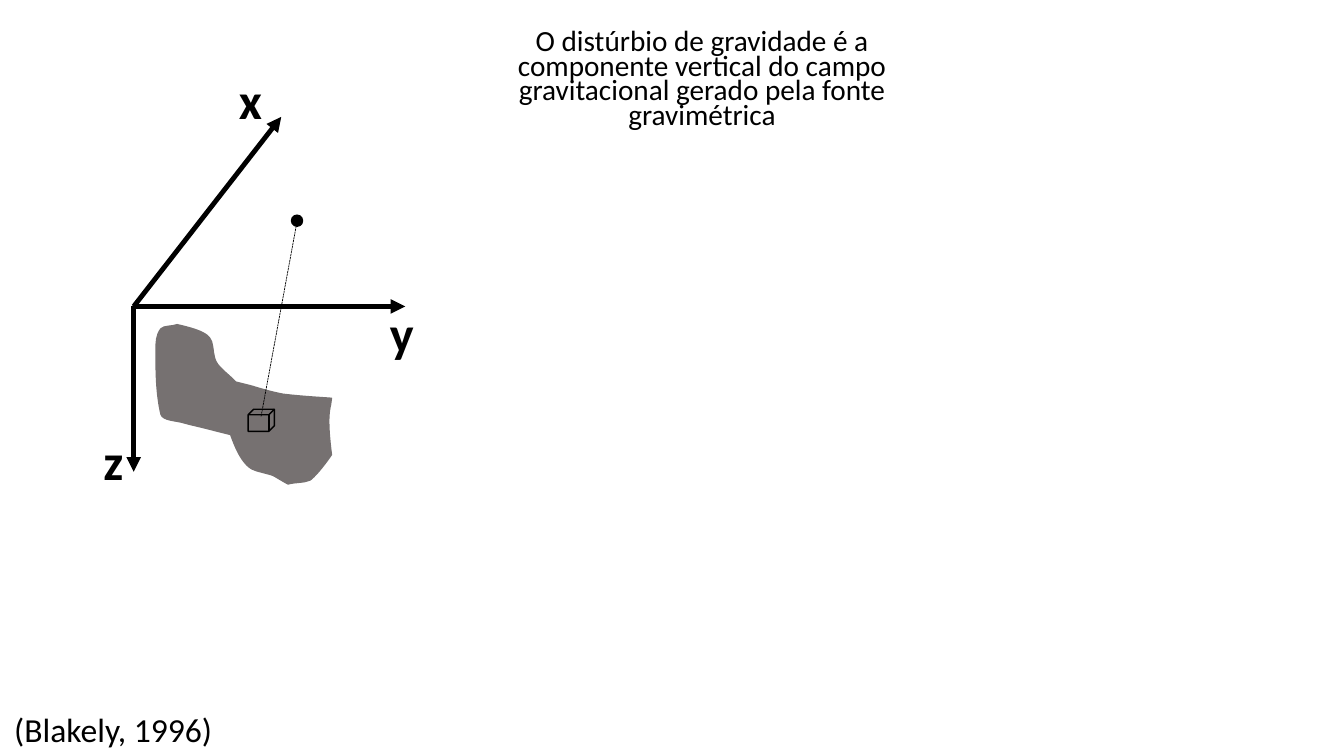
from lxml.etree import SubElement
from pptx import Presentation
from pptx.dml.color import RGBColor
from pptx.enum.dml import MSO_LINE
from pptx.enum.shapes import MSO_CONNECTOR as Connector, MSO_SHAPE as Preset
from pptx.enum.text import MSO_ANCHOR as Anchor, MSO_AUTO_SIZE as AutoSize, PP_ALIGN as Align
from pptx.oxml.ns import qn
from pptx.util import Pt

BLACK, ROCK = "000000", "767171"
FRAME_FORMAT = {"auto_size": AutoSize.NONE, "word_wrap": True, "vertical_anchor": Anchor.BOTTOM}
AXES = [("z", (0, 118.1), (-32.4, 84.2)),
        ("y", (194, 0), (173.5, -7.9)),
        ("x", (105.4, -135.4), (65.5, -174.3))]
SOURCE_START = (125.3, 52.6)
SOURCE_OUTLINE = [
    [(113.8, 51.8), (102.2, 51.1), (90.7, 49.7)],
    [(82.8, 48.2), (75.6, 46.1), (68.4, 43.9)],
    [(56.9, 41)],
    [(51.8, 35.3), (43.2, 30.2), (41.8, 23.8)],
    [(40.3, 18.7), (41, 13), (38.2, 9.4)],
    [(34.6, 4.3), (20.9, 1.4), (15.1, 0)],
    [(11.5, 1.4), (5.8, 0.7), (3.6, 2.9)],
    [(0, 7.2), (0, 13), (0, 18)],
    [(0, 33.1), (0, 49), (3.6, 64.1)],
    [(5, 68.4), (13.7, 68.4), (18.7, 69.8)],
    [(26.6, 72), (33.8, 73.4), (41.8, 75.6)],
    [(53.3, 78.5)],
    [(56.2, 86.4), (61.9, 102.2), (72, 104.4)],
    [(87.8, 108.7), (79.9, 105.8), (94.3, 113.8)],
    [(99.4, 112.3), (105.8, 113), (110.2, 110.9)],
    [(116.6, 105.8), (125.3, 92.9), (125.3, 92.9)],
    [(121, 59.8), (125.3, 59), (125.3, 52.6)],
]


def color(hex_text):
    """Turn a hex string into a colour."""
    return RGBColor.from_string(hex_text)


def apply_format(target, values):
    """Set each named attribute on the target."""
    for name, value in values.items():
        setattr(target, name, value)


def write_text(shape, text, size, spacing, bold=False):
    """Write one centred paragraph that sits at the bottom of its shape."""
    frame = shape.text_frame
    apply_format(frame, FRAME_FORMAT)
    frame.text = text
    paragraph = frame.paragraphs[0]
    apply_format(paragraph, {"alignment": Align.CENTER, "line_spacing": spacing})
    font = paragraph.runs[0].font
    apply_format(font, {"name": "Calibri", "size": Pt(size), "bold": bold})
    font.color.rgb = color(BLACK)


def add_label(slide, box, text, size, spacing, bold=False):
    """Add a text box with one paragraph."""
    shape = slide.shapes.add_textbox(*map(Pt, box))
    write_text(shape, text, size, spacing, bold)


def style_shape(shape, line, fill=None):
    """Give a shape its outline and its fill, or none."""
    shape.shadow.inherit = False
    if fill:
        shape.fill.solid()
        shape.fill.fore_color.rgb = color(fill)
    else:
        shape.fill.background()
    shape.line.color.rgb = color(line)
    shape.line.width = Pt(1)


def add_line(slide, start, end, width, arrow=False, dash=None):
    """Draw a black straight line, with an arrowhead or a dash if asked."""
    connector = slide.shapes.add_connector(Connector.STRAIGHT, *map(Pt, start + end))
    connector.line.color.rgb = color(BLACK)
    apply_format(connector.line, {"width": Pt(width), "dash_style": dash})
    if arrow:
        SubElement(connector.line._get_or_add_ln(), qn("a:tailEnd"), type="triangle")
    SubElement(connector._element.spPr, qn("a:effectLst"))


def bend_segments(shape, segments):
    """Merge each run of three line steps into one cubic curve."""
    steps = iter(list(shape._element.iter(qn("a:lnTo"))))
    for segment in segments:
        first, *others = [next(steps) for _ in segment]
        if others:
            first.tag = qn("a:cubicBezTo")
        for step in others:
            first.append(step[0])
            step.getparent().remove(step)


def add_source_body(slide, left, top):
    """Draw the gravity source as a smooth closed outline."""
    points = [SOURCE_START] + sum(SOURCE_OUTLINE, [])
    vertices = [(Pt(left + x), Pt(top + y)) for x, y in points]
    builder = slide.shapes.build_freeform(*vertices[0])
    builder.add_line_segments(vertices[1:], close=True)
    body = builder.convert_to_shape()
    bend_segments(body, SOURCE_OUTLINE)
    style_shape(body, ROCK, ROCK)


def add_diagram(slide, left, top):
    """Draw the axes, source, volume element and observation point around an origin."""
    def at(x, y):
        """Move a point from the origin to the slide."""
        return left + x, top + y

    add_source_body(slide, *at(16, 13))
    for name, tip, label in AXES:
        add_line(slide, at(0, 0), at(*tip), 3.5, arrow=True)
        add_label(slide, at(*label) + (36, 51.8), name, 36, 0.9, bold=True)
    add_line(slide, at(91, 78.5), at(116.9, -61.9), 0.5, dash=MSO_LINE.SQUARE_DOT)
    for preset, corner, size, fill in [(Preset.OVAL, (112.7, -65.2), (7.9, 7.9), BLACK),
                                       (Preset.CUBE, (81.8, 73.4), (18.7, 15.8), None)]:
        shape = slide.shapes.add_shape(preset, *map(Pt, at(*corner) + size))
        style_shape(shape, BLACK, fill)


def add_title(slide, left, top, width, height):
    """Place and fill the title."""
    title = slide.shapes.title
    apply_format(title, {"left": Pt(left), "top": Pt(top), "width": Pt(width), "height": Pt(height)})
    write_text(title, "O distúrbio de gravidade é a componente vertical do campo "
                      "gravitacional gerado pela fonte gravimétrica", 20.9, 0.7)


def main():
    """Build and save the slide."""
    presentation = Presentation()
    apply_format(presentation, {"slide_width": Pt(960), "slide_height": Pt(540)})
    slide = presentation.slides.add_slide(presentation.slide_layouts[5])
    add_title(slide, 346, 14.6, 311, 82.1)
    add_diagram(slide, 95.5, 218.9)
    add_label(slide, (-17, 506.2, 195.8, 32.4), "(Blakely, 1996)", 24, 0.8)
    presentation.save("out.pptx")


if __name__ == "__main__":
    main()
